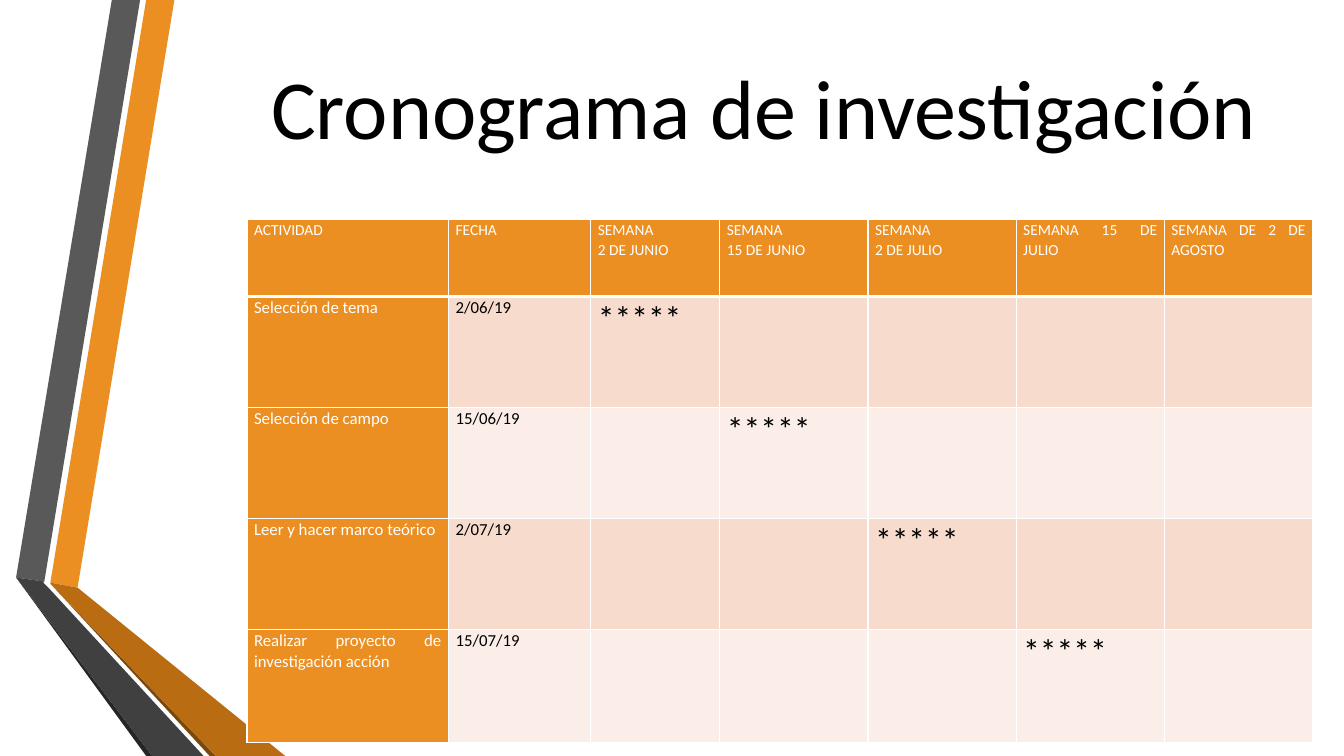
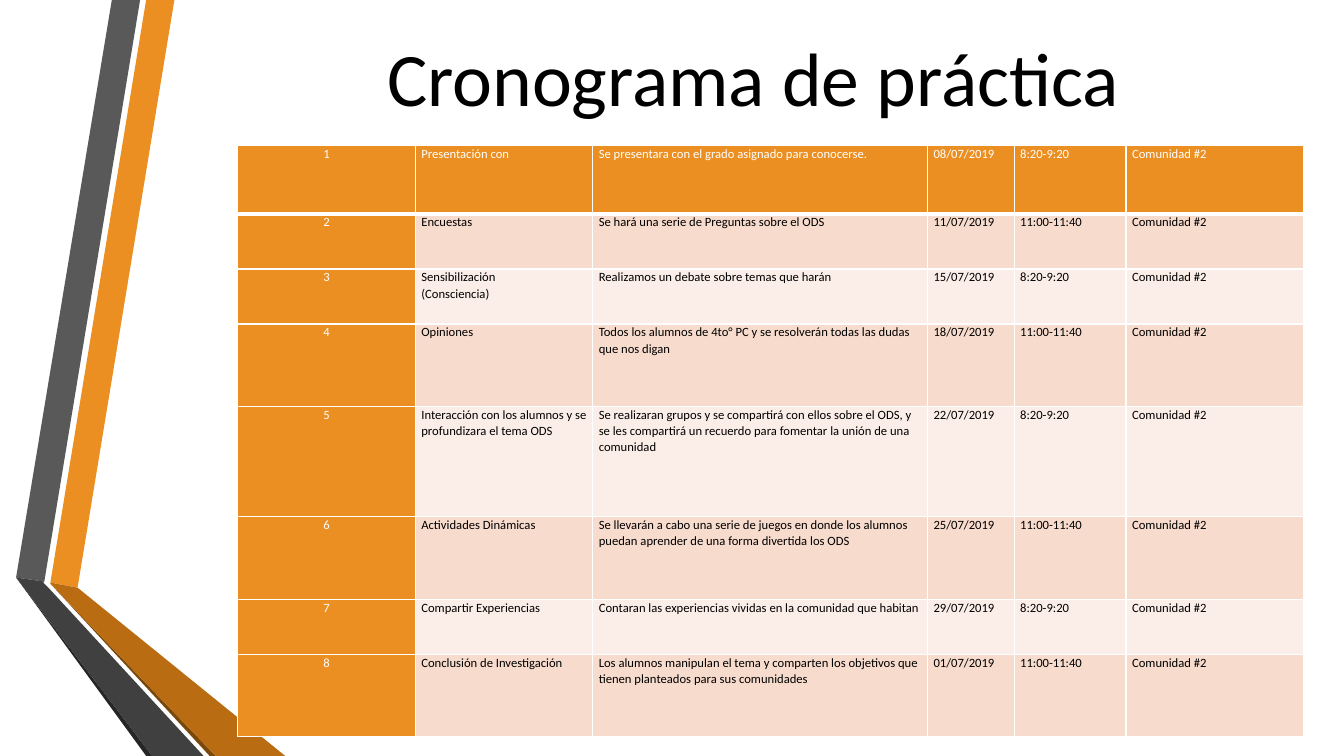
from pptx import Presentation
from pptx import util as u
from pptx.dml import color
from pptx.enum import text as t
from pptx.oxml import parse_xml
from pptx.oxml import ns

ORANGE, PEACH, BLUSH = "EB8F22", "F7DBCD", "FBEEE8"
BLACK, WHITE = "000000", "FFFFFF"
FONT = "Calibri"


def paint(fill, value):
    fill.solid()
    fill.fore_color.rgb = color.RGBColor.from_string(value)


def write(frame, content, size=12, ink=BLACK, align=t.PP_ALIGN.LEFT, spacing=1.0):
    frame.text = content
    for paragraph in frame.paragraphs:
        paragraph.alignment = align
        paragraph.line_spacing = spacing
        for run in paragraph.runs:
            run.font.name = FONT
            run.font.size = u.Pt(size)
            run.font.bold = False
            paint(run.font.fill, ink)


presentation = Presentation()
presentation.slide_width = u.Inches(13.33)
presentation.slide_height = u.Inches(7.5)
column = presentation.slide_width / 100
row = presentation.slide_height / 100
layout = presentation.slide_layouts[5]

ribbons = [
    (ORANGE, [(50, 578), (77, 583), (173, 0), (145, 0)]),
    ("595959", [(139, 0), (111, 0), (16, 573), (44, 577)]),
    ("262626", [(16, 573), (145, 750), (151, 750)]),
    ("7B480B", [(50, 579), (208, 750), (214, 750)]),
    ("B96C11", [(50, 579), (214, 750), (283, 750), (77, 583), (50, 578)]),
    ("404040", [(202, 750), (48, 583), (43, 578), (44, 577), (16, 573), (151, 750)]),
]

activities = [
    ("Selección de tema", "2/06/19"),
    ("Selección de campo", "15/06/19"),
    ("Leer y hacer marco teórico", "2/07/19"),
    ("Realizar proyecto de investigación acción", "15/07/19"),
]
weeks = ["SEMANA\n2 DE JUNIO", "SEMANA\n15 DE JUNIO", "SEMANA\n2 DE JULIO",
         "SEMANA 15 DE JULIO", "SEMANA DE 2 DE AGOSTO"]
research = [["ACTIVIDAD", "FECHA", *weeks]]
for number, (activity, date) in enumerate(activities):
    marks = ["*****" if week == number else "" for week in range(len(weeks))]
    research.append([activity, date, *marks])

sessions = [
    ("Presentación con", "Se presentara con el grado asignado para conocerse.", "08/07/2019"),
    ("Encuestas", "Se hará una serie de Preguntas sobre el ODS", "11/07/2019"),
    ("Sensibilización\n(Consciencia)", "Realizamos un debate sobre temas que harán", "15/07/2019"),
    ("Opiniones",
     "Todos los alumnos de 4to° PC y se resolverán todas las dudas que nos digan", "18/07/2019"),
    ("Interacción con los alumnos y se profundizara el tema ODS",
     "Se realizaran grupos y se compartirá con ellos sobre el ODS, y se les compartirá "
     "un recuerdo para fomentar la unión de una comunidad", "22/07/2019"),
    ("Actividades Dinámicas",
     "Se llevarán a cabo una serie de juegos en donde los alumnos puedan aprender "
     "de una forma divertida los ODS", "25/07/2019"),
    ("Compartir Experiencias",
     "Contaran las experiencias vividas en la comunidad que habitan", "29/07/2019"),
    ("Conclusión de Investigación",
     "Los alumnos manipulan el tema y comparten los objetivos que tienen planteados "
     "para sus comunidades", "01/07/2019"),
]
hours = ["8:20-9:20", "11:00-11:40"]
practice = [[str(number + 1), *session, hours[number % 2], "Comunidad #2"]
            for number, session in enumerate(sessions)]

schedules = [
    dict(title="Cronograma de investigación", title_size=60,
         title_box=(19.28, 10, 75.09, 8.13), table_box=(18.38, 29.07, 79.29, 69.1),
         widths=[2, 1.41, 1.28, 1.47, 1.47, 1.47, 1.47], heights=[0.76, 1.1, 1.1, 1.1, 1.12],
         cells=research, header_size=11, body_size=12, inset=0.07,
         first_align=t.PP_ALIGN.JUSTIFY, align=t.PP_ALIGN.JUSTIFY),
    dict(title="Cronograma de práctica ", title_size=54,
         title_box=(24.68, 3.33, 63.99, 13.47), table_box=(17.7, 19.2, 79.29, 78.27),
         widths=[1.76, 1.76, 3.32, 0.86, 1.11, 1.76], heights=[2.5, 2, 2, 3, 4, 3, 2, 3],
         cells=practice, header_size=9, body_size=9, inset=0.06,
         first_align=t.PP_ALIGN.CENTER, align=t.PP_ALIGN.LEFT),
]

for schedule in schedules:
    slide = presentation.slides.add_slide(layout)
    title = slide.shapes.title
    left, top, width, height = schedule["title_box"]
    title.left, title.top = int(left * column), int(top * row)
    title.width, title.height = int(width * column), int(height * row)
    title.text_frame.word_wrap = True
    title.text_frame.auto_size = t.MSO_AUTO_SIZE.NONE
    title.text_frame.vertical_anchor = t.MSO_ANCHOR.MIDDLE
    write(title.text_frame, schedule["title"], size=schedule["title_size"],
          align=t.PP_ALIGN.CENTER)

    cells, widths, heights = schedule["cells"], schedule["widths"], schedule["heights"]
    left, top, width, height = schedule["table_box"]
    table = slide.shapes.add_table(
        len(heights), len(widths), int(left * column), int(top * row),
        int(width * column), int(height * row)).table
    for table_column, share in zip(table.columns, widths):
        table_column.width = int(width * column * share / sum(widths))
    for table_row, share in zip(table.rows, heights):
        table_row.height = int(height * row * share / sum(heights))

    for row_number, values in enumerate(cells):
        for column_number, value in enumerate(values):
            cell = table.cell(row_number, column_number)
            cell.margin_left = cell.margin_right = u.Inches(schedule["inset"])
            cell.margin_top = cell.margin_bottom = 0
            properties = cell._tc.get_or_add_tcPr()
            for side in "LRTB":
                thick = (row_number, side) in [(0, "B"), (1, "T")]
                properties.append(parse_xml(
                    f'<a:ln{side} {ns.nsdecls("a")} w="{u.Pt(3 if thick else 1)}"><a:solidFill>'
                    f'<a:srgbClr val="{WHITE}"/></a:solidFill></a:ln{side}>'))
            header, first = row_number == 0, column_number == 0
            accent = header or first
            paint(cell.fill, ORANGE if accent else PEACH if row_number % 2 else BLUSH)
            if value:
                size = schedule["header_size"] if header else schedule["body_size"]
                write(cell.text_frame, value, size=24 if value == "*****" else size,
                      ink=WHITE if accent else BLACK, spacing=1.06,
                      align=schedule["first_align"] if first else schedule["align"])

for number, (fill, points) in enumerate(ribbons):
    builder = slide.shapes.build_freeform(*points[0], scale=u.Inches(0.01))
    builder.add_line_segments(points[1:], close=True)
    ribbon = builder.convert_to_shape()
    ribbon.shadow.inherit = False
    paint(ribbon.fill, fill)
    ribbon.line.fill.background()
    ribbon.element.nvSpPr.cNvPr.set("id", str(20 + number))
    layout.shapes.element.insert(2 + number, ribbon.element)

presentation.save("out.pptx")
